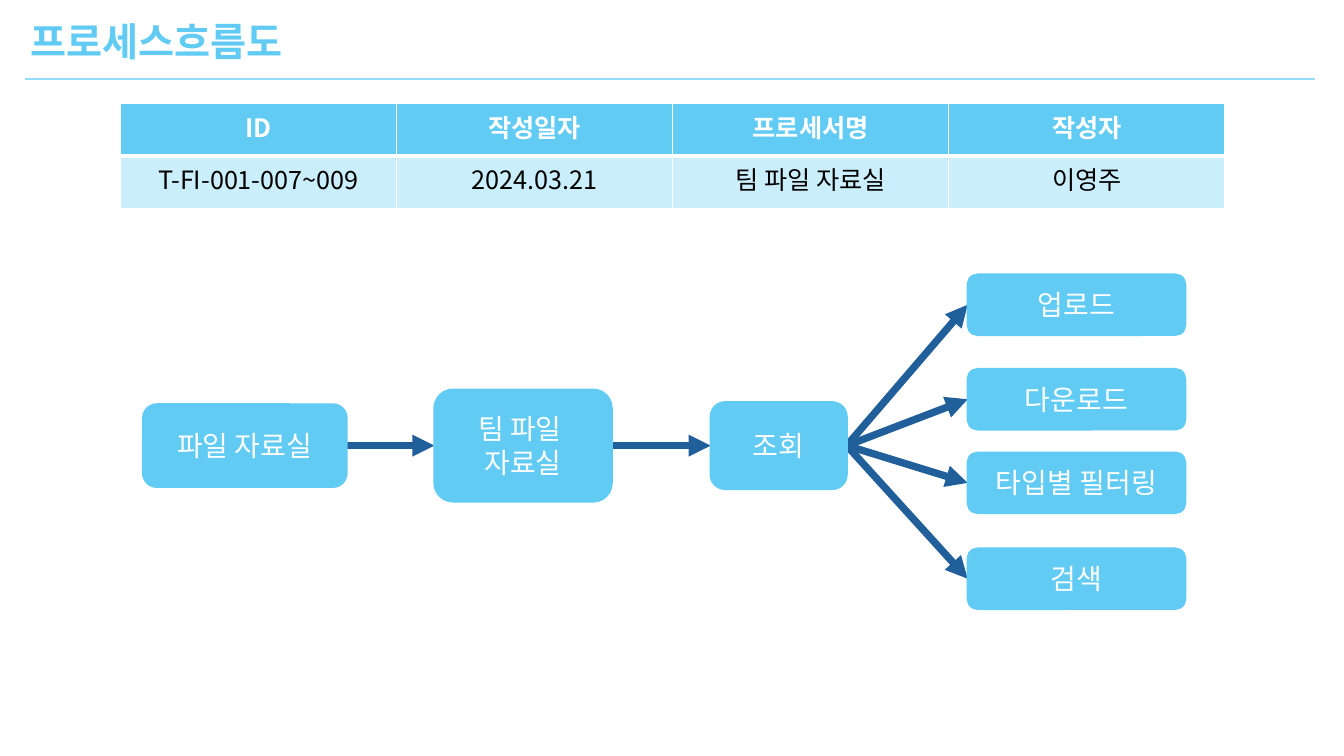
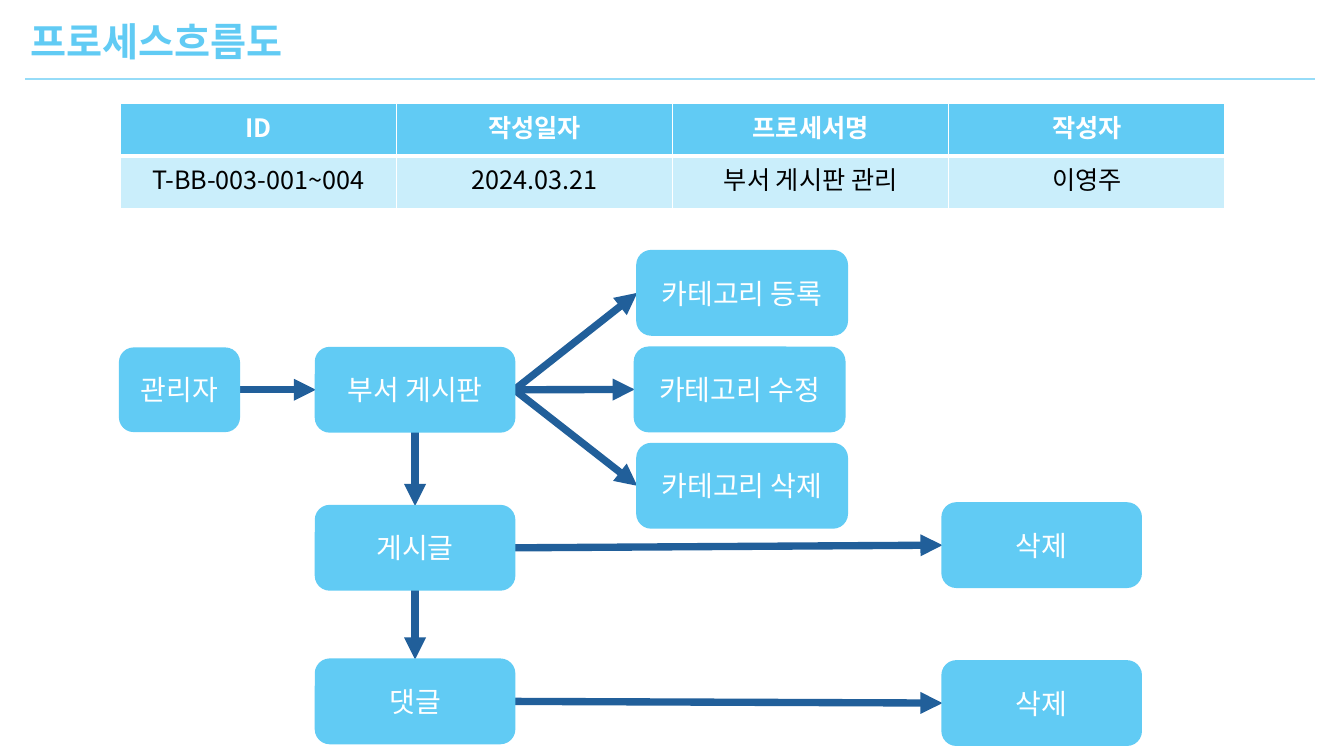
from lxml import etree
from pptx import Presentation
from pptx.dml.color import RGBColor
from pptx.enum import shapes, text
from pptx.oxml.ns import qn
from pptx.util import Pt

SKY = RGBColor(0x61, 0xCB, 0xF4)
PALE = RGBColor(0xCA, 0xEE, 0xFB)
RULE = RGBColor(0x96, 0xDC, 0xF8)
NAVY = RGBColor(0x21, 0x5F, 0x9A)
WHITE = RGBColor(0xFF, 0xFF, 0xFF)
BLACK = RGBColor(0, 0, 0)
FONT = "Noto Sans CJK KR"

TITLE = "프로세스흐름도"
HEADERS = ["ID", "작성일자", "프로세서명", "작성자"]
TABLE_LEFT, TABLE_TOP, TABLE_WIDTH, ROW_HEIGHT = 86, 73.6, 789, 37.6
TOP, LEFT, BOTTOM, RIGHT = range(4)

FLOW_Y, BOARD_Y = 318.3, 278.4
ACTION = (155.5, 43.2)
CATEGORY = (149.8, 59.8)
BOARD = (141.8, 59.8)

# Each box: label, left, middle, (width, height)
SLIDES = [
    {
        "record": ["T-FI-001-007~009", "2024.03.21", "팀 파일 자료실", "이영주"],
        "boxes": {
            "files": ("파일 자료실", 102.2, FLOW_Y, (145.4, 59)),
            "team": ("팀 파일 \n자료실", 310.3, FLOW_Y, (126.7, 80)),
            "view": ("조회", 507.6, FLOW_Y, (97.2, 62)),
            "upload": ("업로드", 691.2, 217.7, ACTION),
            "download": ("다운로드", 691.2, 285.2, ACTION),
            "filter": ("타입별 필터링", 691.2, 344.9, ACTION),
            "search": ("검색", 691.2, 413.4, ACTION),
        },
        "across": [("files", "team"), ("team", "view"), ("view", "upload"),
                   ("view", "download"), ("view", "filter"), ("view", "search")],
        "down": [],
    },
    {
        "record": ["T-BB-003-001~004", "2024.03.21", "부서 게시판 관리", "이영주"],
        "boxes": {
            "admin": ("관리자", 85.7, BOARD_Y, (85, 59)),
            "board": ("부서 게시판", 225.6, BOARD_Y, BOARD),
            "create": ("카테고리 등록", 455.2, 209.2, CATEGORY),
            "edit": ("카테고리 수정", 453.4, 278.2, CATEGORY),
            "remove": ("카테고리 삭제", 455.2, 347, CATEGORY),
            "post": ("게시글", 225.6, 391.3, BOARD),
            "comment": ("댓글", 225.6, 501, BOARD),
            "post_delete": ("삭제", 673.2, 389.4, BOARD),
            "comment_delete": ("삭제", 673.2, 502.2, BOARD),
        },
        "across": [("admin", "board"), ("board", "create"), ("board", "edit"),
                   ("board", "remove"), ("post", "post_delete"),
                   ("comment", "comment_delete")],
        "down": [("board", "post"), ("post", "comment")],
    },
]


def write(frame, content, align=text.PP_ALIGN.CENTER, **font_format):
    frame.text = content
    for paragraph in frame.paragraphs:
        paragraph.alignment = align
        for run in paragraph.runs:
            color = font_format["color"]
            for name, value in font_format.items():
                if name != "color":
                    setattr(run.font, name, value)
            run.font.name = FONT
            run.font.color.rgb = color
            etree.SubElement(run.font._element, qn("a:ea"), typeface=FONT)


def add_line(slide, color, width, start=(0, 0), end=(0, 0)):
    line = slide.shapes.add_connector(
        shapes.MSO_CONNECTOR.STRAIGHT, *(Pt(value) for value in (*start, *end)))
    line.line.color.rgb = color
    line.line.width = Pt(width)
    etree.SubElement(line._element.spPr, qn("a:effectLst"))
    return line


def add_title(slide):
    add_line(slide, RULE, 1.5, (18, 56.2), (939.6, 56.2))
    box = slide.shapes.add_textbox(Pt(14.4), Pt(8.6), Pt(212.4), Pt(41))
    frame = box.text_frame
    frame.word_wrap = False
    frame.auto_size = text.MSO_AUTO_SIZE.SHAPE_TO_FIT_TEXT
    write(frame, TITLE, text.PP_ALIGN.LEFT, size=Pt(28), bold=True, color=SKY)


def set_borders(cell, **widths):
    properties = cell._tc.get_or_add_tcPr()
    for side, width in widths.items():
        border = etree.SubElement(properties, qn(f"a:ln{side}"), w=str(Pt(width)))
        fill = etree.SubElement(border, qn("a:solidFill"))
        etree.SubElement(fill, qn("a:srgbClr"), val=str(WHITE))


def add_record_table(slide, record):
    rows = [(HEADERS, SKY, WHITE, True, {"T": 1, "B": 3}),
            (record, PALE, BLACK, False, {"T": 3, "B": 1})]
    table = slide.shapes.add_table(
        len(rows), len(HEADERS), Pt(TABLE_LEFT), Pt(TABLE_TOP),
        Pt(TABLE_WIDTH), Pt(ROW_HEIGHT * len(rows))).table
    for row, (values, fill, color, bold, edges) in enumerate(rows):
        for column, value in enumerate(values):
            cell = table.cell(row, column)
            write(cell.text_frame, value, size=Pt(18), bold=bold, color=color)
            set_borders(cell, L=1, R=1, **edges)
            cell.fill.solid()
            cell.fill.fore_color.rgb = fill


def add_box(slide, label, left, middle, size):
    width, height = size
    shape = slide.shapes.add_shape(
        shapes.MSO_SHAPE.ROUNDED_RECTANGLE,
        Pt(left), Pt(middle - height / 2), Pt(width), Pt(height))
    shape.shadow.inherit = False
    shape.fill.solid()
    shape.fill.fore_color.rgb = SKY
    shape.line.color.rgb = SKY
    shape.line.width = Pt(1.5)
    shape.text_frame.vertical_anchor = text.MSO_ANCHOR.MIDDLE
    write(shape.text_frame, label, size=Pt(20), color=WHITE)
    return shape


def add_arrow(slide, source, source_side, target, target_side):
    arrow = add_line(slide, NAVY, 5.25)
    arrow.begin_connect(source, source_side)
    arrow.end_connect(target, target_side)
    etree.SubElement(arrow.line._get_or_add_ln(), qn("a:tailEnd"), type="triangle")
    slide.shapes._spTree.insert(2, arrow._element)


def main():
    presentation = Presentation()
    presentation.slide_width, presentation.slide_height = Pt(960), Pt(540)
    for content in SLIDES:
        slide = presentation.slides.add_slide(presentation.slide_layouts[6])
        add_title(slide)
        add_record_table(slide, content["record"])
        boxes = {name: add_box(slide, *box) for name, box in content["boxes"].items()}
        for direction, start, end in (("across", RIGHT, LEFT), ("down", BOTTOM, TOP)):
            for source, target in content[direction]:
                add_arrow(slide, boxes[source], start, boxes[target], end)
    presentation.save("out.pptx")


if __name__ == "__main__":
    main()
